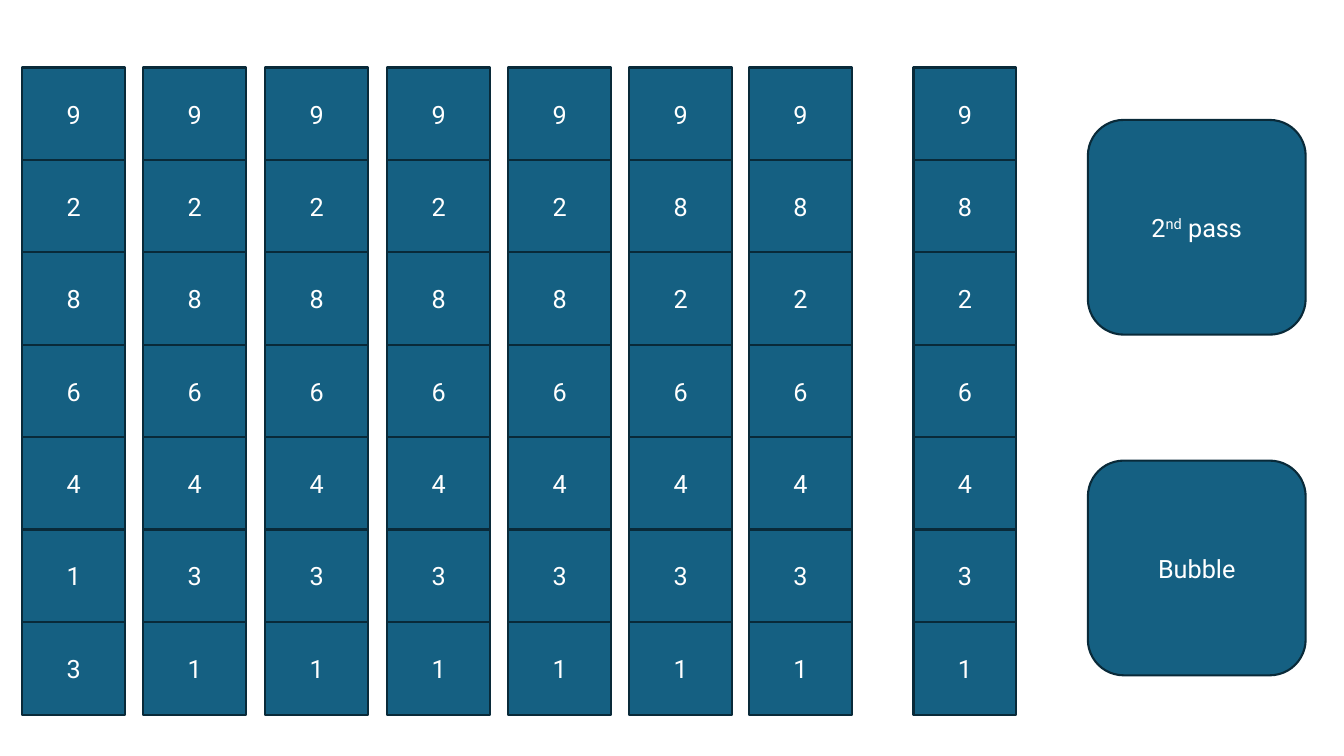
from pptx import Presentation
from pptx.dml.color import RGBColor
from pptx.enum.shapes import MSO_SHAPE as Shape
from pptx.enum.text import MSO_ANCHOR as Anchor, PP_ALIGN as Align
from pptx.util import Inches, Pt

BLUE = RGBColor(0x15, 0x60, 0x82)
DARK_BLUE = RGBColor(0x09, 0x2A, 0x39)
WHITE = RGBColor(0xFF, 0xFF, 0xFF)

# Array states of the second pass, each read from top to bottom
STATES = ["9286413", "9286431", "9286431", "9286431",
          "9286431", "9826431", "9826431", "9826431"]
COLUMN_LEFTS = [0.22, 1.42, 2.63, 3.84, 5.04, 6.24, 7.43, 9.06]
FIRST_TOP, LAST_TOP = 0.67, 6.17
CELL_WIDTH, CELL_HEIGHT = 1.02, 0.92
LABEL_LEFT, LABEL_WIDTH, LABEL_HEIGHT = 10.79, 2.16, 2.13


def add_text(paragraph, text, *, font="Roboto", size=18, color=WHITE,
             superscript=False):
    run = paragraph.add_run()
    run.text = text
    run.font.name = font
    run.font.size = Pt(size)
    run.font.color.rgb = color
    if superscript:
        run._r.get_or_add_rPr().set("baseline", "30000")


class SortingSlide:
    """Holds the box style and the slide being drawn."""

    def __init__(self, slide, fill=BLUE, line=DARK_BLUE, line_width=1.5):
        self.slide = slide
        self.fill = fill
        self.line = line
        self.line_width = line_width

    def box(self, kind, left, top, width, height):
        shape = self.slide.shapes.add_shape(
            kind, Inches(left), Inches(top), Inches(width), Inches(height))
        shape.shadow.inherit = False
        shape.fill.solid()
        shape.fill.fore_color.rgb = self.fill
        shape.line.color.rgb = self.line
        shape.line.width = Pt(self.line_width)
        shape.text_frame.word_wrap = True
        shape.text_frame.vertical_anchor = Anchor.MIDDLE
        paragraph = shape.text_frame.paragraphs[0]
        paragraph.alignment = Align.CENTER
        return paragraph

    def column(self, left, digits):
        pitch = (LAST_TOP - FIRST_TOP) / (len(digits) - 1)
        for row, digit in enumerate(digits):
            cell = self.box(Shape.RECTANGLE, left, FIRST_TOP + row * pitch,
                            CELL_WIDTH, CELL_HEIGHT)
            add_text(cell, digit)

    def label(self, top):
        return self.box(Shape.ROUNDED_RECTANGLE, LABEL_LEFT, top,
                        LABEL_WIDTH, LABEL_HEIGHT)


def main():
    presentation = Presentation()
    presentation.slide_width = Inches(13.33)
    presentation.slide_height = Inches(7.5)
    blank_layout = presentation.slide_layouts[6]
    sorting = SortingSlide(presentation.slides.add_slide(blank_layout))

    # Array columns
    for left, digits in zip(COLUMN_LEFTS, STATES):
        sorting.column(left, digits)

    # Labels
    add_text(sorting.label(4.57), "Bubble")
    pass_label = sorting.label(1.19)
    add_text(pass_label, "2")
    add_text(pass_label, "nd", superscript=True)
    add_text(pass_label, " pass")

    presentation.save("out.pptx")


if __name__ == "__main__":
    main()
